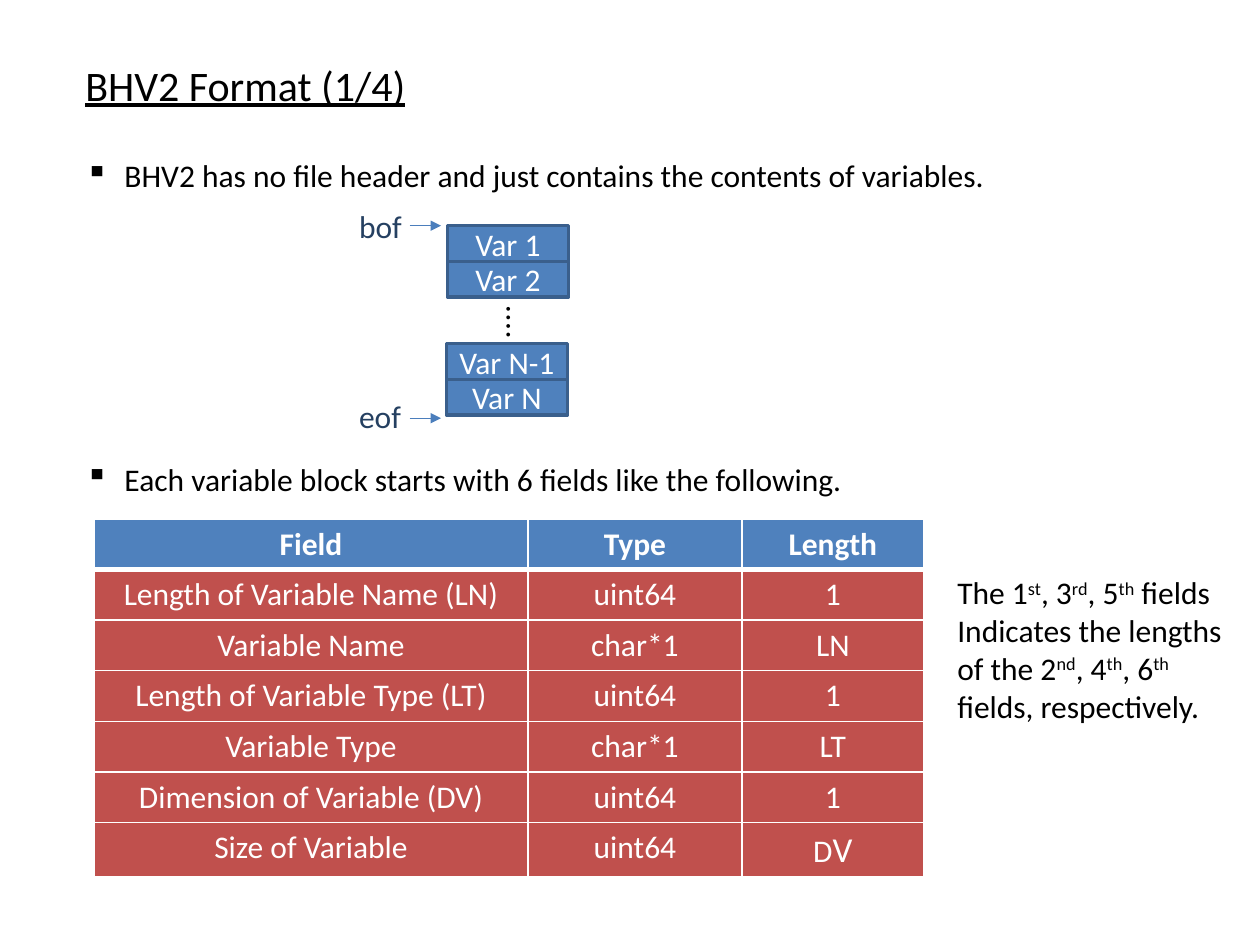
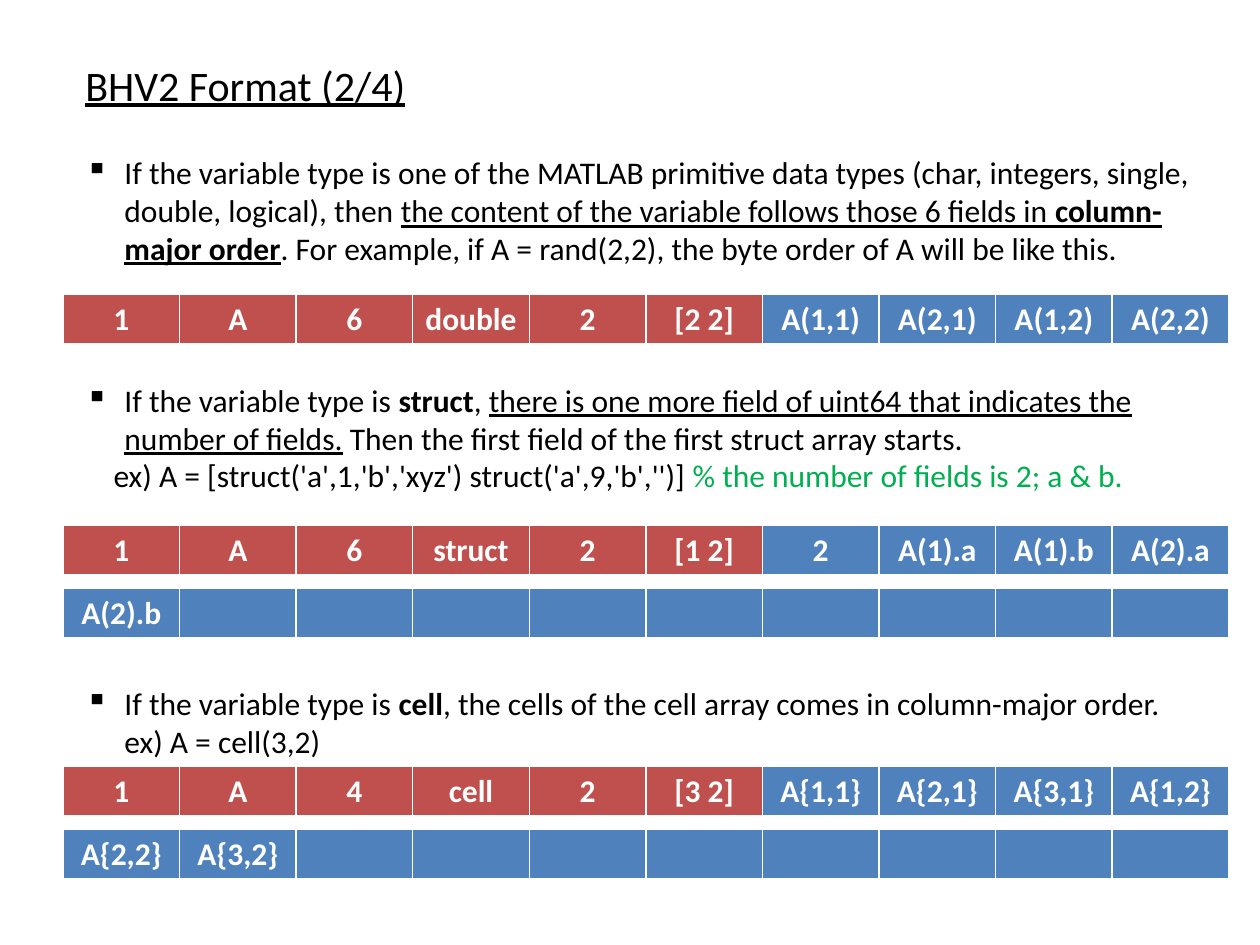
from dataclasses import dataclass

from lxml.etree import SubElement
from pptx import Presentation
from pptx.dml.color import RGBColor
from pptx.enum.shapes import MSO_CONNECTOR, MSO_SHAPE
from pptx.enum.text import MSO_ANCHOR, MSO_AUTO_SIZE, PP_ALIGN
from pptx.oxml.ns import qn
from pptx.util import Cm, Pt


@dataclass(frozen=True)
class Theme:
    font: str = "Calibri"
    title_size: float = 24
    body_size: float = 18
    large_size: float = 20
    line_pitch: float = 21.7
    black: str = "000000"
    white: str = "FFFFFF"
    blue: str = "4F81BD"
    red: str = "C0504D"
    outline: str = "3A5F8C"
    arrow: str = "4B7EBC"
    navy: str = "254061"
    green: str = "00B050"


THEME = Theme()
BOLD = {"bold": True}
UNDERLINE = {"underline": True}
RAISED = {"raised": True}

FIELDS = [
    ("Field", "Type", "Length"),
    ("Length of Variable Name (LN)", "uint64", "1"),
    ("Variable Name", "char*1", "LN"),
    ("Length of Variable Type (LT)", "uint64", "1"),
    ("Variable Type", "char*1", "LT"),
    ("Dimension of Variable (DV)", "uint64", "1"),
    ("Size of Variable", "uint64", ["D", ("V", {"size": THEME.large_size})]),
]

LENGTHS_NOTE = [
    ["The 1", ("st", RAISED), ", 3", ("rd", RAISED), ", 5", ("th", RAISED), " fields"],
    ["Indicates the lengths\nof the 2", ("nd", RAISED), ", 4", ("th", RAISED),
     ", 6", ("th\n", RAISED), "fields, respectively."],
]

FILE_BULLETS = [
    (0, True, ["BHV2 has no file header and just contains the contents of variables."]),
    (7, True, ["Each variable block starts with 6 fields like the following."]),
]

TYPE_BULLETS = [
    (0, True, [
        "If the variable type is one of the MATLAB primitive data types "
        "(char, integers, single, double, logical), then ",
        ("the content of the variable follows those 6 fields in ", UNDERLINE),
        ("column-major order", BOLD | UNDERLINE),
        ". For example, if A = rand(2,2), the byte order of A will be like this."]),
    (3, True, [
        "If the variable type is ", ("struct", BOLD), ", ",
        ("there is one more field of uint64 that indicates the number of fields.", UNDERLINE),
        " Then the first field of the first struct array starts."]),
    (0, False, [
        "ex) A = [struct('a',1,'b','xyz') struct('a',9,'b','')] ",
        ("% the number of fields is 2; a & b.", {"color": THEME.green})]),
    (5, True, [
        "If the variable type is ", ("cell", BOLD),
        ", the cells of the cell array comes in column-major order.\nex) A = cell(3,2)"]),
]

BYTE_ORDERS = [
    (5.94, ["1", "A", "6", "double", "2", "[2 2]",
            "A(1,1)", "A(2,1)", "A(1,2)", "A(2,2)"]),
    (10.59, ["1", "A", "6", "struct", "2", "[1 2]",
             "2", "A(1).a", "A(1).b", "A(2).a", "A(2).b"]),
    (15.44, ["1", "A", "4", "cell", "2", "[3 2]",
             "A{1,1}", "A{2,1}", "A{3,1}", "A{1,2}", "A{2,2}", "A{3,2}"]),
]
HEADER_FIELDS = 6
STRIP_CELLS = 10


def rgb(color):
    return RGBColor.from_string(color)


def add_runs(paragraph, runs, **defaults):
    for item in runs:
        text, style = (item, {}) if isinstance(item, str) else item
        style = defaults | style
        for index, piece in enumerate(text.split("\n")):
            if index:
                paragraph.add_line_break()
            if not piece:
                continue
            run = paragraph.add_run()
            run.text = piece
            run.font.name = THEME.font
            run.font.size = Pt(style.get("size", THEME.body_size))
            run.font.bold = style.get("bold", False)
            run.font.underline = style.get("underline", False)
            run.font.color.rgb = rgb(style.get("color", THEME.black))
            if style.get("raised"):
                run._r.get_or_add_rPr().set("baseline", "30000")


def add_text(shapes, box, paragraphs, wrap=True, align=PP_ALIGN.LEFT, **style):
    frame = shapes.add_textbox(*map(Cm, box)).text_frame
    frame.word_wrap = wrap
    frame.auto_size = MSO_AUTO_SIZE.NONE if wrap else MSO_AUTO_SIZE.SHAPE_TO_FIT_TEXT
    for index, runs in enumerate(paragraphs):
        paragraph = frame.add_paragraph() if index else frame.paragraphs[0]
        paragraph.alignment = align
        add_runs(paragraph, runs, **style)
    return frame


def add_title(slide, part):
    add_text(slide.shapes, (1.47, 1.07, 7.01, 1.27), [[f"BHV2 Format ({part}/4)"]],
             wrap=False, size=THEME.title_size, underline=True)


def add_bullets(slide, box, bullets):
    frame = add_text(slide.shapes, box, [runs for _, _, runs in bullets])
    for paragraph, (lines_before, bulleted, _) in zip(frame.paragraphs, bullets):
        paragraph.space_before = Pt(lines_before * THEME.line_pitch)
        properties = paragraph._p.get_or_add_pPr()
        properties.set("marL", str(Cm(0.79 if bulleted else 0.57)))
        if bulleted:
            properties.set("indent", str(Cm(-0.79)))
            SubElement(properties, qn("a:buChar"), char="▪")


def set_borders(cell, top, bottom):
    properties = cell._tc.get_or_add_tcPr()
    widths = {"a:lnL": 1, "a:lnR": 1, "a:lnT": top, "a:lnB": bottom}
    for position, (tag, width) in enumerate(widths.items()):
        border = properties.makeelement(qn(tag), {"w": str(Pt(width))})
        properties.insert(position, border)
        fill = SubElement(border, qn("a:solidFill"))
        SubElement(fill, qn("a:srgbClr"), val=THEME.white)


def fill_cell(cell, content, color, bold, top=1, bottom=1):
    cell.fill.solid()
    cell.fill.fore_color.rgb = rgb(color)
    set_borders(cell, top, bottom)
    if content:
        paragraph = cell.text_frame.paragraphs[0]
        paragraph.alignment = PP_ALIGN.CENTER
        runs = [content] if isinstance(content, str) else content
        add_runs(paragraph, runs, color=THEME.white, bold=bold)


def add_grid(slide, left, top, widths, heights):
    table = slide.shapes.add_table(
        len(heights), len(widths), Cm(left), Cm(top),
        Cm(sum(widths)), Cm(sum(heights))).table
    table.first_row = table.horz_banding = False
    for column, width in zip(table.columns, widths):
        column.width = Cm(width)
    for row, height in zip(table.rows, heights):
        row.height = Cm(height)
    return table


def add_field_table(slide, left, top):
    heights = [1.02] * (len(FIELDS) - 1) + [1.07]
    table = add_grid(slide, left, top, (8.74, 4.32, 3.66), heights)
    for row, field in enumerate(FIELDS):
        heading = row == 0
        for column, content in enumerate(field):
            fill_cell(table.cell(row, column), content,
                      THEME.blue if heading else THEME.red, heading,
                      top=3 if row == 1 else 1, bottom=3 if heading else 1)


def add_byte_order(slide, left, top, entries):
    for start in range(0, len(entries), STRIP_CELLS):
        strip_top = top + 1.27 * start / STRIP_CELLS
        table = add_grid(slide, left, strip_top, [2.35] * STRIP_CELLS, [1.03])
        for column in range(STRIP_CELLS):
            index = start + column
            content = entries[index] if index < len(entries) else ""
            color = THEME.red if index < HEADER_FIELDS else THEME.blue
            fill_cell(table.cell(0, column), content, color, True, bottom=3)


def add_variable(shapes, left, top, name):
    block = shapes.add_shape(MSO_SHAPE.RECTANGLE, Cm(left), Cm(top), Cm(2.44), Cm(0.72))
    block.shadow.inherit = False
    block.fill.solid()
    block.fill.fore_color.rgb = rgb(THEME.blue)
    block.line.color.rgb = rgb(THEME.outline)
    block.line.width = Pt(2)
    block.text_frame.word_wrap = True
    block.text_frame.vertical_anchor = MSO_ANCHOR.MIDDLE
    paragraph = block.text_frame.paragraphs[0]
    paragraph.alignment = PP_ALIGN.CENTER
    add_runs(paragraph, [name], color=THEME.white)


def add_marker(shapes, left, label_top, arrow_y, label):
    arrow = shapes.add_connector(MSO_CONNECTOR.STRAIGHT, Cm(left + 1.27), Cm(arrow_y),
                                 Cm(left + 1.9), Cm(arrow_y))
    arrow.line.color.rgb = rgb(THEME.arrow)
    arrow.line.width = Pt(0.75)
    SubElement(arrow.line._get_or_add_ln(), qn("a:tailEnd"), type="triangle")
    SubElement(arrow._element.spPr, qn("a:effectLst"))
    add_text(shapes, (left, label_top, 1.47, 1.02), [[label]], color=THEME.navy)


def add_file_layout(slide, left, top):
    shapes = slide.shapes.add_group_shape().shapes
    pairs = [(2.03, 0.51, ("Var 1", "Var 2")), (2.01, 2.89, ("Var N-1", "Var N"))]
    for offset, pair_top, names in pairs:
        for index, name in enumerate(names):
            add_variable(shapes, left + offset, top + pair_top + 0.72 * index, name)
    add_text(shapes, (left + 2.36, top + 1.88, 1.8, 1.02), [["⁞"]], align=PP_ALIGN.CENTER)
    add_marker(shapes, left, top, top + 0.51, "bof")
    add_marker(shapes, left, top + 3.84, top + 4.39, "eof")


def build_file_slide(slide):
    add_title(slide, 1)
    add_bullets(slide, (1.47, 3.02, 22.43, 8.71), FILE_BULLETS)
    add_field_table(slide, 1.9, 10.46)
    add_file_layout(slide, 6.99, 4.04)
    add_text(slide.shapes, (19.05, 11.43, 5.92, 3.33), LENGTHS_NOTE, wrap=False)


def build_types_slide(slide):
    add_title(slide, 2)
    add_bullets(slide, (1.47, 2.97, 23.06, 13.34), TYPE_BULLETS)
    for top, entries in BYTE_ORDERS:
        add_byte_order(slide, 1.27, top, entries)


def main():
    presentation = Presentation()
    presentation.slide_width, presentation.slide_height = Cm(25.4), Cm(19.05)
    for build in (build_file_slide, build_types_slide):
        build(presentation.slides.add_slide(presentation.slide_layouts[6]))
    presentation.save("out.pptx")


if __name__ == "__main__":
    main()
